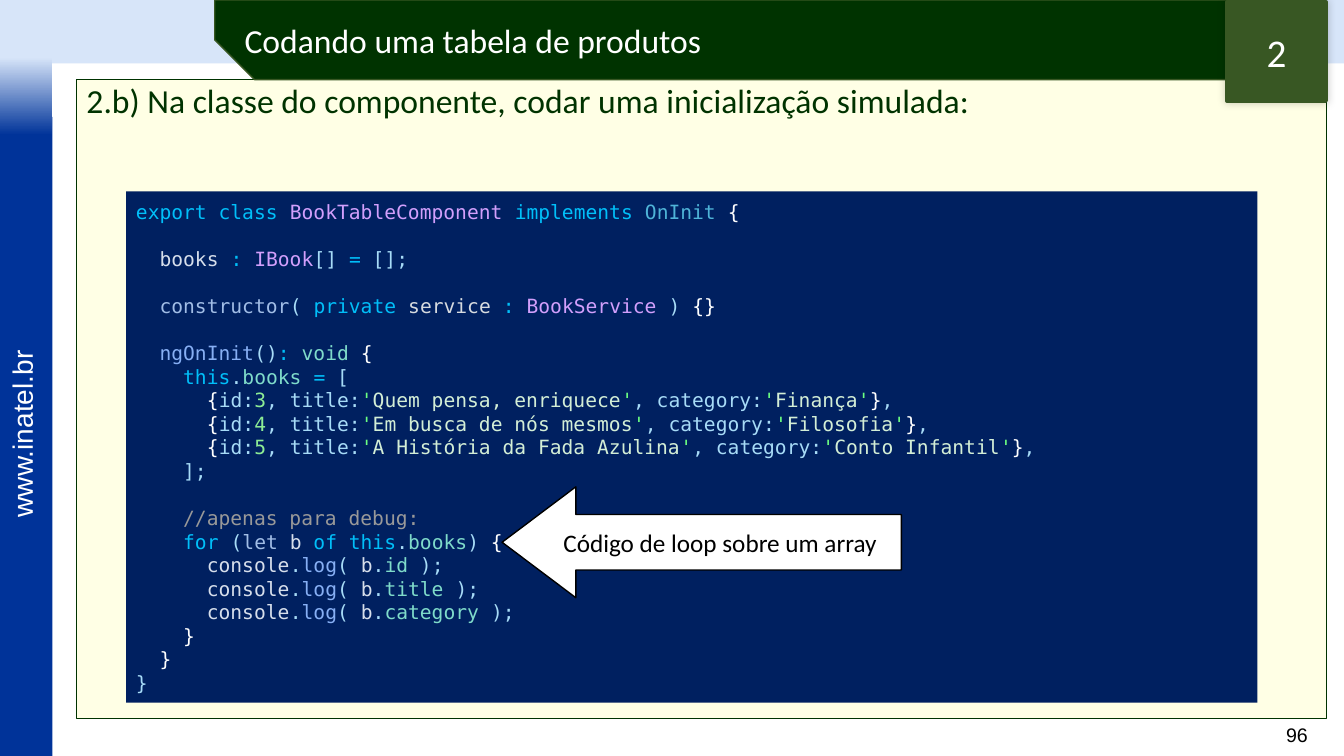
import pptx
import pptx.util
import pptx.dml.color
import pptx.enum.dml
import pptx.enum.shapes
import pptx.enum.text
import pptx.oxml
import pptx.oxml.ns

Inches = pptx.util.Inches
Pt = pptx.util.Pt
SHAPE = pptx.enum.shapes.MSO_SHAPE
ALIGN = pptx.enum.text.PP_ALIGN
ANCHOR = pptx.enum.text.MSO_ANCHOR

COLORS = {
    "white": "FFFFFF", "black": "000000", "sky": "D7E5F9", "royal": "003399",
    "forest": "003300", "moss": "385723", "yellow": "FFFF00", "navy": "002060",
    "keyword": "00BFF9", "type": "D29FFC", "interface": "4FB4D8", "plain": "A7DBF7",
    "name": "D6DEEB", "param": "D7DBE0", "declare": "A1BDE6", "method": "87AFF4",
    "member": "7FDBCA", "number": "8DEC95", "quote": "6BFF81", "string": "D3EED6",
    "comment": "999999",
}
RGB = {key: pptx.dml.color.RGBColor.from_string(value) for key, value in COLORS.items()}

deck = pptx.Presentation()
deck.slide_width = Inches(13.33)
deck.slide_height = Inches(7.5)
slide = deck.slides.add_slide(deck.slide_layouts[6])


def add_block(kind, left, top, width, height, fill, line=None, weight=1):
    block = slide.shapes.add_shape(kind, Inches(left), Inches(top), Inches(width), Inches(height))
    block.shadow.inherit = False
    block.fill.solid()
    block.fill.fore_color.rgb = RGB[fill]
    if line:
        block.line.color.rgb = RGB[line]
        block.line.width = Pt(weight)
    else:
        block.line.fill.background()
    return block


def add_run(paragraph, text, font, size, color):
    run = paragraph.add_run()
    run.text = text
    run.font.name = font
    run.font.size = Pt(size)
    run.font.color.rgb = RGB[color]


add_block(SHAPE.RECTANGLE, 0, 0, 13.33, 0.63, "sky")
add_block(SHAPE.RECTANGLE, 0, 1.16, 0.52, 6.34, "royal")
fade = add_block(SHAPE.RECTANGLE, 0, 0.57, 0.52, 0.77, "sky")
fade.fill.gradient()
fade.fill.gradient_angle = 270
for stop, color in zip(fade.fill.gradient_stops, ("sky", "royal")):
    stop.color.rgb = RGB[color]

site = slide.shapes.add_textbox(Inches(-0.72), Inches(4.09), Inches(1.87), Inches(0.43))
site.rotation = 270
site.text_frame.word_wrap = False
site.text_frame.paragraphs[0].alignment = ALIGN.CENTER
add_run(site.text_frame.paragraphs[0], "www.inatel.br", "Arial", 20, "white")

page_number = slide.shapes.add_textbox(Inches(12.42), Inches(7.12), Inches(0.65), Inches(0.34))
page_number.text_frame.word_wrap = True
page_number.text_frame.paragraphs[0].alignment = ALIGN.RIGHT
add_run(page_number.text_frame.paragraphs[0], "96", "Arial", 14, "black")

body = add_block(SHAPE.RECTANGLE, 0.76, 0.79, 12.4, 6.34, "yellow", "forest")
body_color = body.fill._xPr.find(".//" + pptx.oxml.ns.qn("a:srgbClr"))
body_color.append(pptx.oxml.parse_xml(
    f'<a:alpha {pptx.oxml.ns.nsdecls("a")} val="10000"/>'))
body.text_frame.vertical_anchor = ANCHOR.TOP
step = body.text_frame.paragraphs[0]
step.alignment = ALIGN.LEFT
step.line_spacing = 0.9
add_run(step, "2.b) Na classe do componente, codar uma inicialização simulada:",
        "Calibri", 24, "forest")

books = [
    ("3", "Quem pensa, enriquece", "Finança"),
    ("4", "Em busca de nós mesmos", "Filosofia"),
    ("5", "A História da Fada Azulina", "Conto Infantil"),
]
code_lines = [
    [("keyword", "export class "), ("type", "BookTableComponent "),
     ("keyword", "implements "), ("interface", "OnInit "), ("white", "{")],
    [("name", "  books "), ("keyword", ": "), ("type", "IBook"), ("plain", "[] "),
     ("keyword", "="), ("plain", " [];")],
    [("declare", "  constructor"), ("plain", "( "), ("keyword", "private "),
     ("param", "service "), ("keyword", ": "), ("type", "BookService"),
     ("plain", " ) "), ("white", "{}")],
    [("method", "  ngOnInit"), ("plain", "()"), ("keyword", ": "),
     ("member", "void "), ("white", "{")],
    [("keyword", "    this"), ("plain", "."), ("member", "books "),
     ("keyword", "="), ("plain", " [")],
]
for number, title, category in books:
    code_lines.append([
        ("white", "      {"), ("plain", "id:"), ("number", number),
        ("plain", ", title:"), ("quote", "'"), ("string", title), ("quote", "'"),
        ("plain", ", category:"), ("quote", "'"), ("string", category), ("quote", "'"),
        ("white", "}"), ("plain", ","),
    ])
code_lines += [
    [("plain", "    ];")],
    [("comment", "    //apenas para debug:")],
    [("keyword", "    for"), ("plain", " ("), ("declare", "let "), ("name", "b "),
     ("keyword", "of this"), ("plain", "."), ("member", "books"), ("plain", ") "),
     ("white", "{")],
]
for field in ("id", "title", "category"):
    code_lines.append([
        ("name", "      console"), ("plain", "."), ("method", "log"), ("plain", "( "),
        ("name", "b"), ("plain", "."), ("member", field), ("plain", " );"),
    ])
code_lines += [[("white", "    }")], [("white", "  }")], [("plain", "}")]]
lines_after_gap = {1, 2, 3, 9}

code_panel = add_block(SHAPE.RECTANGLE, 1.25, 1.9, 11.22, 5.07, "navy")
code_frame = code_panel.text_frame
code_frame.word_wrap = True
code_frame.vertical_anchor = ANCHOR.MIDDLE
for index, tokens in enumerate(code_lines):
    code_line = code_frame.add_paragraph() if index else code_frame.paragraphs[0]
    code_line.alignment = ALIGN.LEFT
    code_line.line_spacing = Pt(16.8)
    if index in lines_after_gap:
        code_line.space_before = Pt(16.8)
    for role, text in tokens:
        add_run(code_line, text, "DejaVu Sans Mono", 14, role)

loop_arrow = add_block(SHAPE.LEFT_ARROW, 4.98, 4.83, 3.96, 1.1, "white", "black")
loop_arrow.adjustments[0] = 0.5
loop_arrow.adjustments[1] = 0.665
heading = add_block(SHAPE.SNIP_2_DIAG_RECTANGLE, 2.13, 0, 11.02, 0.79, "forest", "moss")
heading.adjustments[0] = 0
heading.adjustments[1] = 0.5
badge = add_block(SHAPE.RECTANGLE, 12.17, 0.02, 0.98, 0.98, "moss", "moss", 3)
badge_effects = badge._element.spPr.find(pptx.oxml.ns.qn("a:effectLst"))
badge_effects.append(pptx.oxml.parse_xml(
    f'<a:outerShdw {pptx.oxml.ns.nsdecls("a")} blurRad="{Pt(6)}" dist="0" dir="13500000">'
    f'<a:srgbClr val="{COLORS["black"]}"><a:alpha val="20000"/></a:srgbClr></a:outerShdw>'))

for block, text, size, color, alignment in [
    (loop_arrow, "Código de loop sobre um array", 18, "black", ALIGN.CENTER),
    (heading, "Codando uma tabela de produtos", 24, "white", ALIGN.LEFT),
    (badge, "2", 28, "white", ALIGN.CENTER),
]:
    block.text_frame.word_wrap = True
    block.text_frame.vertical_anchor = ANCHOR.MIDDLE
    label = block.text_frame.paragraphs[0]
    label.alignment = alignment
    add_run(label, text, "Calibri", size, color)

deck.save("out.pptx")
